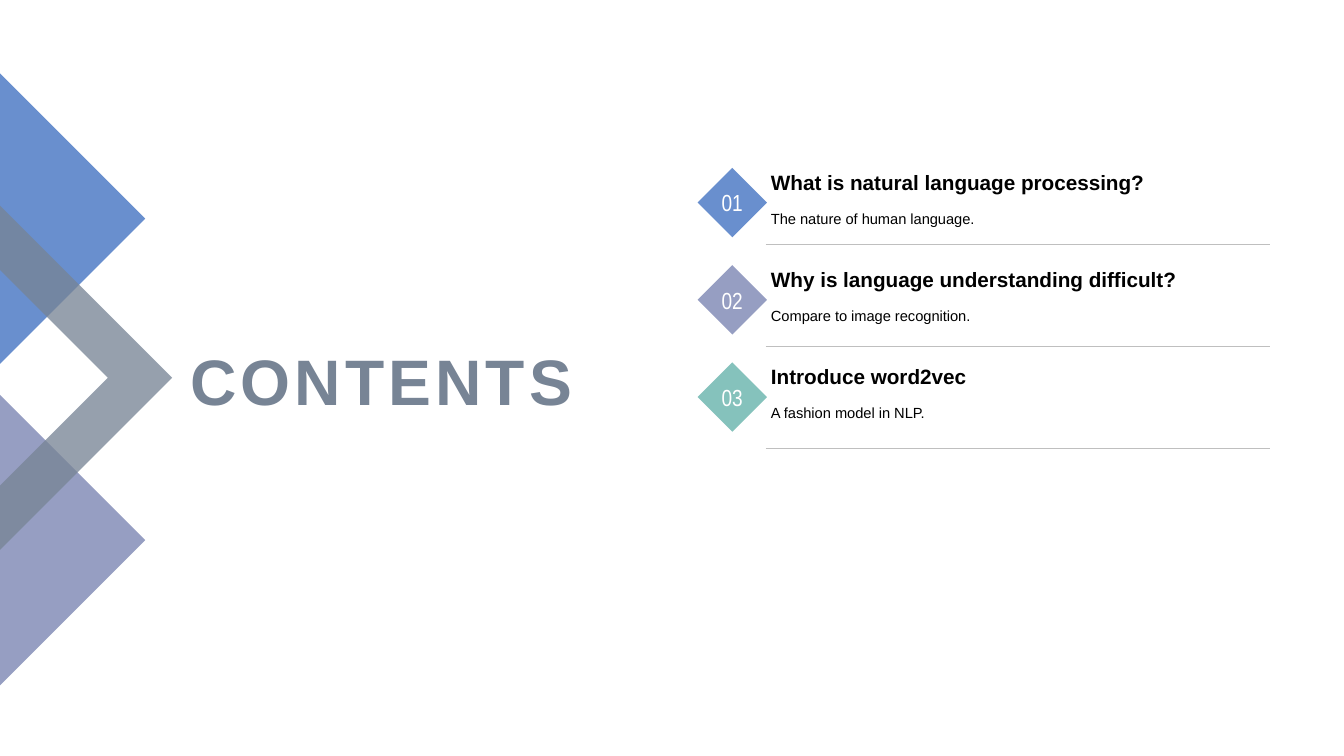
"""Build the contents slide of a talk on natural language processing."""
from dataclasses import dataclass

from lxml import etree
from pptx import Presentation
from pptx.dml.color import RGBColor
from pptx.enum.shapes import MSO_CONNECTOR, MSO_SHAPE
from pptx.enum.text import MSO_ANCHOR, PP_ALIGN
from pptx.oxml.ns import qn
from pptx.util import Cm, Pt

STRAIGHT, DIAMOND = MSO_CONNECTOR.STRAIGHT, MSO_SHAPE.DIAMOND
MIDDLE, BOTTOM = MSO_ANCHOR.MIDDLE, MSO_ANCHOR.BOTTOM
LEFT, CENTER, RIGHT = PP_ALIGN.LEFT, PP_ALIGN.CENTER, PP_ALIGN.RIGHT


@dataclass(frozen=True)
class Theme:
    blue: str = "698FCE"
    lilac: str = "969EC2"
    teal: str = "85C2BC"
    slate: str = "778495"
    black: str = "000000"
    white: str = "FFFFFF"
    rule: str = "BFBFBF"
    font: str = "Arial"
    number_font: str = "Arial Narrow"
    title_size: float = 45.9
    number_size: float = 16.6
    heading_size: float = 14.8
    body_size: float = 10.5


theme = Theme()


def paint(shape, color):
    shape.shadow.inherit = False
    shape.fill.solid()
    shape.fill.fore_color.rgb = RGBColor.from_string(color)
    shape.line.fill.background()


def write(box, text, size, color, anchor, align=LEFT, bold=False,
          font=theme.font, spacing=None, wrap=True):
    frame = box.text_frame
    frame.word_wrap = wrap
    frame.vertical_anchor = anchor
    para = frame.paragraphs[0]
    para.alignment = align
    para.line_spacing = spacing
    span = para.add_run()
    span.text = text
    for name, value in {"name": font, "size": Pt(size), "bold": bold}.items():
        setattr(span.font, name, value)
    span.font.color.rgb = RGBColor.from_string(color)
    return span


deck = Presentation()
deck.slide_width, deck.slide_height = Cm(33.87), Cm(19.05)
page = deck.slides.add_slide(deck.slide_layouts[6])

reach, center = 434, 952
inner = 272
half = 366
outlines = [
    (theme.lilac, [(0, 1361 - half), (half, 1361), (0, 1361 + half)]),
    (theme.blue, [(0, 551 - half), (half, 551), (0, 551 + half)]),
    (theme.slate, [(reach, center), (0, center + reach), (0, center + inner),
                   (inner, center), (0, center - inner), (0, center - reach)]),
]
for color, points in outlines:
    builder = page.shapes.build_freeform(*points[0], scale=Cm(0.01))
    builder.add_line_segments(points[1:], close=True)
    chevron = builder.convert_to_shape()
    paint(chevron, color)
tint = chevron.fill._xPr.find(".//" + qn("a:srgbClr"))
etree.SubElement(tint, qn("a:alpha"), val="77000")

title = page.shapes.add_textbox(Cm(4.29), Cm(8.28), Cm(10.39), Cm(2.57))
span = write(title, "CONTENTS", theme.title_size, theme.slate, MIDDLE, RIGHT, True)
span.font._element.set("spc", "300")

topics = [
    (theme.blue, "What is natural language processing?", "The nature of human language."),
    (theme.lilac, "Why is language understanding difficult?", "Compare to image recognition."),
    (theme.teal, "Introduce word2vec", "A fashion model in NLP."),
]
for index, (color, heading, body) in enumerate(topics):
    drop = 2.45 * index
    badge = page.shapes.add_shape(DIAMOND, Cm(17.58), Cm(4.23 + drop), Cm(1.75), Cm(1.75))
    paint(badge, color)
    write(badge, f"{index + 1:02}", theme.number_size, theme.white, MIDDLE, CENTER,
          font=theme.number_font, wrap=False)

    box = page.shapes.add_textbox(Cm(19.18), Cm(4.17 + drop), Cm(11), Cm(0.85))
    write(box, heading, theme.heading_size, theme.black, BOTTOM, bold=True)
    box = page.shapes.add_textbox(Cm(19.18), Cm(5.02 + drop), Cm(11), Cm(0.89))
    write(box, body, theme.body_size, theme.black, MIDDLE, spacing=1.2)

    height = Cm(6.15 + 2.57 * index)
    rule = page.shapes.add_connector(STRAIGHT, Cm(19.3), height, Cm(32), height)
    rule.line.width = Pt(0.25)
    rule.line.color.rgb = RGBColor.from_string(theme.rule)
    etree.SubElement(rule._element.spPr, qn("a:effectLst"))

deck.save("out.pptx")
